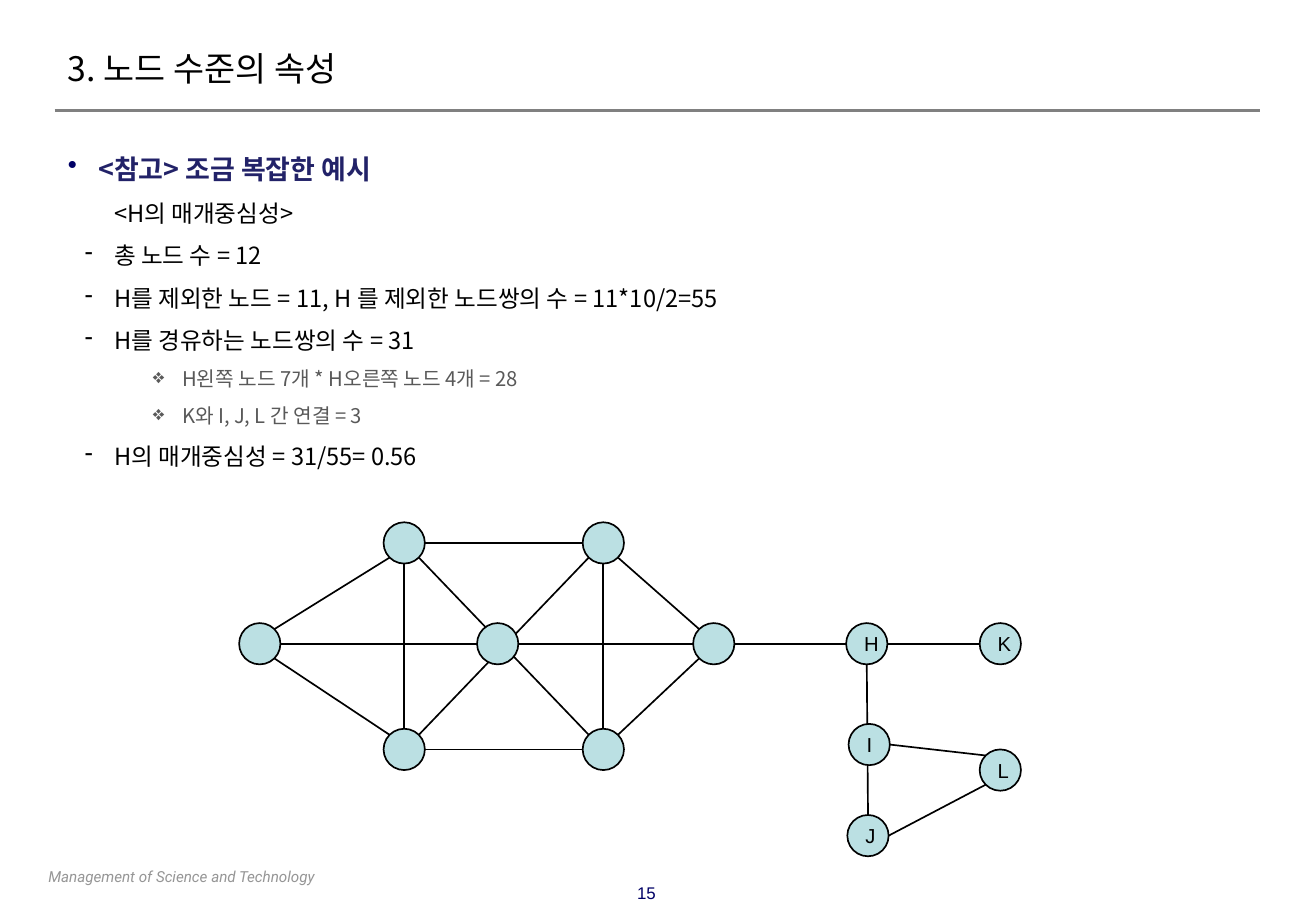
from dataclasses import dataclass
from math import hypot

from lxml.etree import SubElement
from pptx import Presentation
from pptx.dml.color import RGBColor
from pptx.enum.shapes import MSO_CONNECTOR, MSO_SHAPE
from pptx.enum.text import MSO_ANCHOR, PP_ALIGN
from pptx.oxml.ns import qn
from pptx.util import Inches, Pt


@dataclass(frozen=True)
class Theme:
    """Hold colours, fonts and type sizes."""
    black: str = "000000"
    navy: str = "000066"
    head: str = "222268"
    grey: str = "595959"
    pale: str = "969696"
    rule: str = "808080"
    node: str = "BBE0E3"
    korean: str = "Noto Sans CJK KR"
    latin: str = "Arial"
    footer: str = "Roboto"
    title: int = 20
    large: int = 16
    body: int = 14
    small: int = 12
    page: int = 10
    foot: int = 9


@dataclass(frozen=True)
class Style:
    """Describe the look of a run."""
    size: int
    color: str
    font: str
    bold: bool = False
    italic: bool = False


@dataclass(frozen=True)
class Level:
    """Describe a paragraph level."""
    depth: int
    margin: float
    indent: float
    bullet: str
    tint: str
    style: Style


@dataclass(frozen=True)
class Node:
    """Place a network node by its centre."""
    x: float
    y: float
    label: str = ""


@dataclass(frozen=True)
class Edge:
    """Join two nodes at compass points."""
    start: str
    leave: str
    end: str
    enter: str


THEME = Theme()
RADIUS = 0.17
TITLE = Style(THEME.title, THEME.black, THEME.korean)
LABEL = Style(THEME.small, THEME.black, THEME.latin)
PAGE = Style(THEME.page, THEME.navy, THEME.latin)
FOOT = Style(THEME.foot, THEME.pale, THEME.footer, italic=True)
BODY = Style(THEME.body, THEME.black, THEME.korean)
HEAD = Level(0, 0.25, -0.25, "•", THEME.navy,
             Style(THEME.large, THEME.head, THEME.korean, bold=True))
PLAIN = Level(1, 0.38, 0, "", THEME.black, BODY)
DASH = Level(1, 0.38, -0.24, "-", THEME.black, BODY)
DETAIL = Level(2, 0.94, -0.24, "❖", THEME.grey,
               Style(THEME.small, THEME.grey, THEME.korean))
LINES = (
    (HEAD, "<참고> 조금 복잡한 예시"),
    (PLAIN, "<H의 매개중심성>"),
    (DASH, "총 노드 수 = 12"),
    (DASH, "H를 제외한 노드 = 11, H 를 제외한 노드쌍의 수 = 11*10/2=55"),
    (DASH, "H를 경유하는 노드쌍의 수 = 31"),
    (DETAIL, "H왼쪽 노드 7개 * H오른쪽 노드 4개 = 28"),
    (DETAIL, "K와 I, J, L 간 연결 = 3"),
    (DASH, "H의 매개중심성 = 31/55= 0.56"),
)
NODES = {
    "west": Node(2.14, 5.3),
    "top left": Node(3.33, 4.47),
    "top right": Node(4.97, 4.47),
    "centre": Node(4.1, 5.3),
    "low left": Node(3.33, 6.17),
    "low right": Node(4.97, 6.17),
    "east": Node(5.88, 5.3),
    "H": Node(7.14, 5.3, "H"),
    "I": Node(7.16, 6.13, "I"),
    "J": Node(7.15, 6.88, "J"),
    "K": Node(8.24, 5.3, "K"),
    "L": Node(8.24, 6.34, "L"),
}
EDGES = (
    Edge("west", "ne", "top left", "sw"),
    Edge("west", "se", "low left", "nw"),
    Edge("west", "e", "centre", "w"),
    Edge("top left", "e", "top right", "w"),
    Edge("low left", "e", "low right", "w"),
    Edge("top left", "s", "low left", "n"),
    Edge("top right", "s", "low right", "n"),
    Edge("top left", "se", "low right", "nw"),
    Edge("low left", "ne", "top right", "sw"),
    Edge("centre", "e", "east", "w"),
    Edge("top right", "se", "east", "nw"),
    Edge("low right", "ne", "east", "sw"),
    Edge("east", "e", "H", "w"),
    Edge("H", "e", "K", "w"),
    Edge("H", "s", "J", "n"),
    Edge("I", "e", "L", "nw"),
    Edge("J", "e", "L", "sw"),
)


def write(para, text: str, style: Style) -> None:
    """Add a styled run."""
    run = para.add_run()
    run.text = text
    font = run.font
    font.size, font.name = Pt(style.size), style.font
    font.bold, font.italic = style.bold, style.italic
    font.color.rgb = RGBColor.from_string(style.color)
    SubElement(run._r.get_or_add_rPr(), qn("a:ea"), typeface=style.font)


def pad(frame, side: float) -> None:
    """Set wrapping and insets."""
    frame.word_wrap = True
    frame.margin_left = frame.margin_right = Inches(side)
    frame.margin_top = frame.margin_bottom = Inches(0.05)


def add_box(slide, box: tuple[float, ...], side: float = 0.1):
    """Add a text box and return its frame."""
    frame = slide.shapes.add_textbox(*map(Inches, box)).text_frame
    pad(frame, side)
    return frame


def add_line(slide, ends: tuple[float, ...], color: str, width: float) -> None:
    """Draw a plain straight line."""
    line = slide.shapes.add_connector(MSO_CONNECTOR.STRAIGHT, *map(Inches, ends))
    line.line.color.rgb = RGBColor.from_string(color)
    line.line.width = Pt(width)
    SubElement(line._element.spPr, qn("a:effectLst"))


def set_level(para, level: Level) -> None:
    """Apply spacing, indent and bullet."""
    para.level, para.line_spacing = level.depth, 1.5
    props = para._p.get_or_add_pPr()
    props.set("marL", str(Inches(level.margin)))
    props.set("indent", str(Inches(level.indent)))
    if level.bullet:
        tint = SubElement(props, qn("a:buClr"))
        SubElement(tint, qn("a:srgbClr"), val=level.tint)
        SubElement(props, qn("a:buChar"), char=level.bullet)


def port(node: Node, way: str) -> tuple[float, float]:
    """Find a compass point on a node's rim."""
    dx = ("e" in way) - ("w" in way)
    dy = ("s" in way) - ("n" in way)
    reach = RADIUS / hypot(dx, dy)
    return node.x + dx * reach, node.y + dy * reach


def add_node(slide, node: Node) -> None:
    """Draw a node and its label."""
    box = (node.x - RADIUS, node.y - RADIUS, 2 * RADIUS, 2 * RADIUS)
    dot = slide.shapes.add_shape(MSO_SHAPE.OVAL, *map(Inches, box))
    dot.shadow.inherit = False
    dot.fill.solid()
    dot.fill.fore_color.rgb = RGBColor.from_string(THEME.node)
    dot.line.color.rgb = RGBColor.from_string(THEME.black)
    dot.line.width = Pt(1)
    if node.label:
        pad(dot.text_frame, 0.1)
        dot.text_frame.vertical_anchor = MSO_ANCHOR.MIDDLE
        para = dot.text_frame.paragraphs[0]
        para.alignment = PP_ALIGN.CENTER
        write(para, node.label, LABEL)


def main() -> None:
    """Build and save the slide."""
    deck = Presentation()
    deck.slide_width, deck.slide_height = Inches(10.84), Inches(7.5)
    slide = deck.slides.add_slide(deck.slide_layouts[5])
    add_line(slide, (0.45, 0.91, 10.38, 0.91), THEME.rule, 2)
    title = slide.shapes.title
    title.left, title.top = Inches(0.45), Inches(0.34)
    title.width, title.height = Inches(8.03), Inches(0.49)
    pad(title.text_frame, 0.11)
    title.text_frame.vertical_anchor = MSO_ANCHOR.TOP
    title.text_frame.paragraphs[0].alignment = PP_ALIGN.LEFT
    write(title.text_frame.paragraphs[0], "3. 노드 수준의 속성", TITLE)
    foot = add_box(slide, (0.3, 7.09, 3.94, 0.25))
    write(foot.paragraphs[0], "Management of Science and Technology", FOOT)
    body = add_box(slide, (0.45, 1.07, 9.92, 5.82), 0.11)
    for row, (level, text) in enumerate(LINES):
        para = body.add_paragraph() if row else body.paragraphs[0]
        set_level(para, level)
        write(para, text, level.style)
    page = add_box(slide, (5.02, 7.22, 0.61, 0.27))
    page.paragraphs[0].alignment = PP_ALIGN.CENTER
    write(page.paragraphs[0], "15", PAGE)
    for edge in EDGES:
        ends = port(NODES[edge.start], edge.leave) + port(NODES[edge.end], edge.enter)
        add_line(slide, ends, THEME.black, 1)
    for node in NODES.values():
        add_node(slide, node)
    deck.save("out.pptx")


if __name__ == "__main__":
    main()
